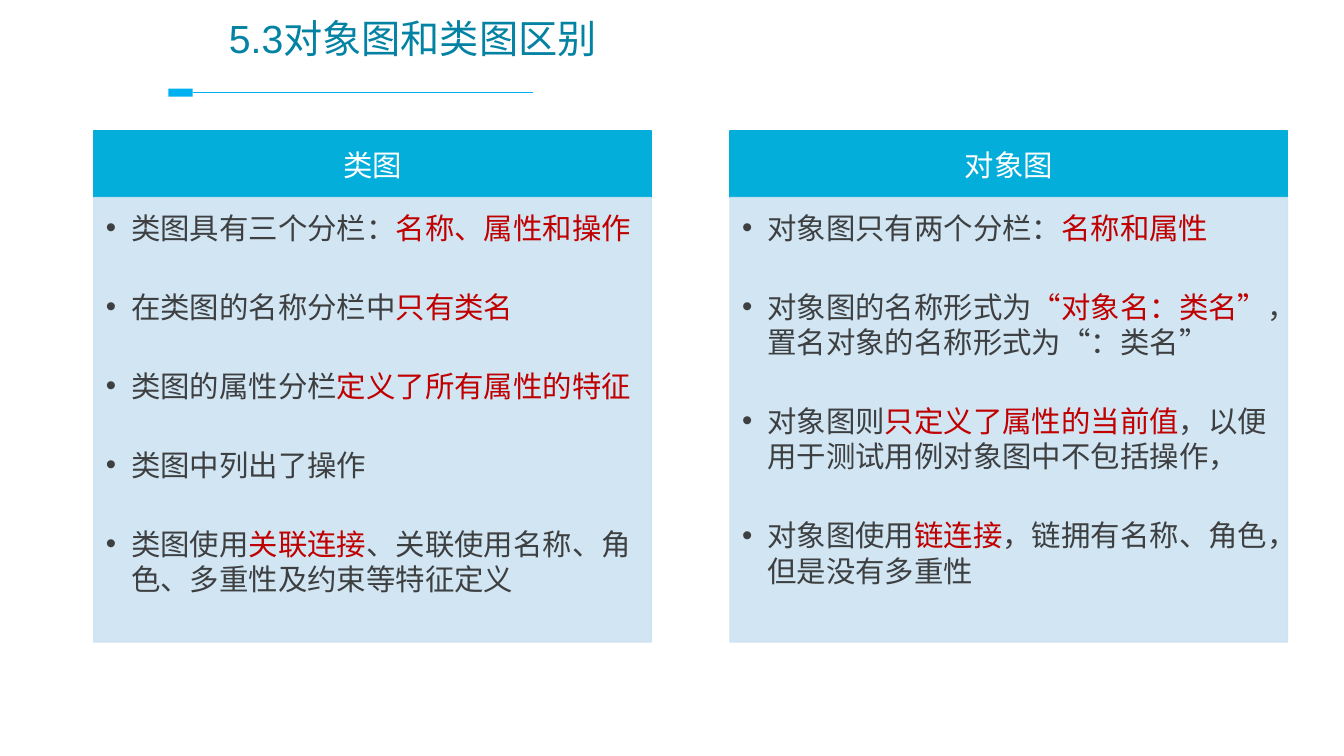
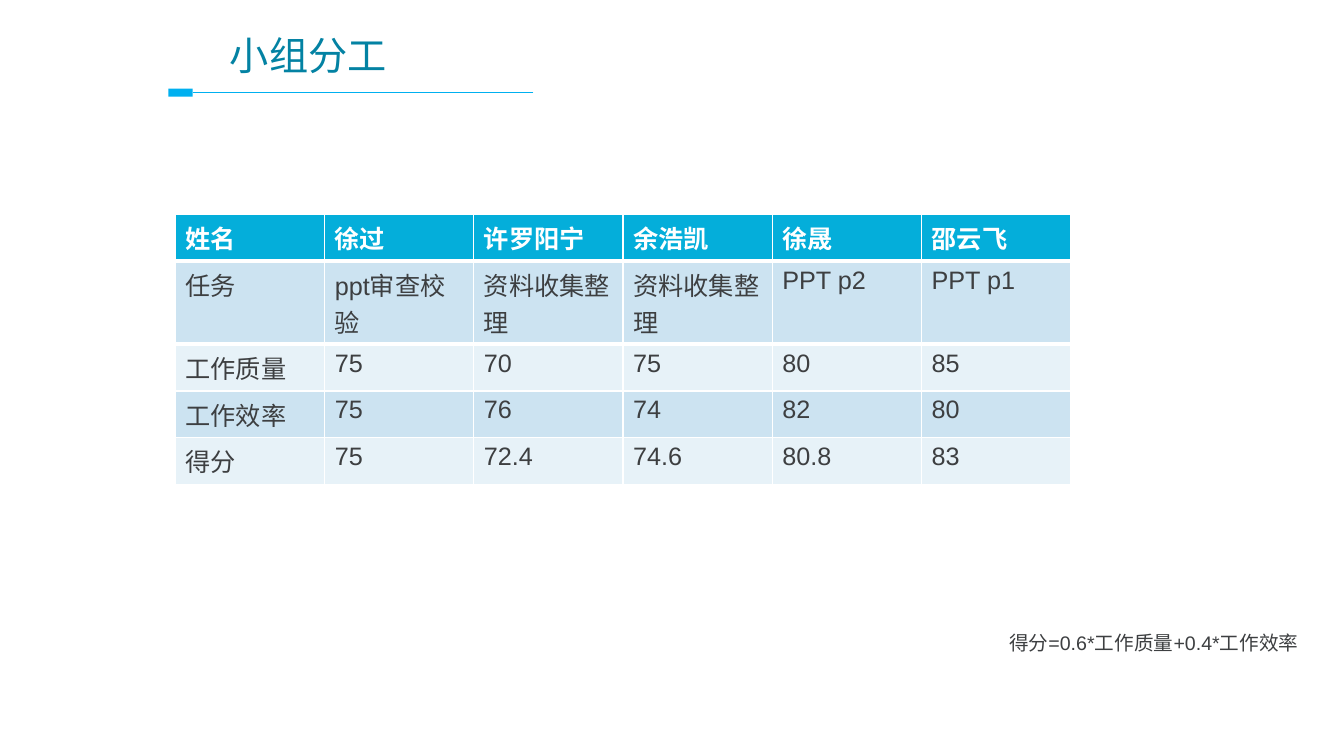
from pptx import Presentation
from pptx.dml.color import RGBColor
from pptx.enum.shapes import MSO_CONNECTOR, MSO_SHAPE
from pptx.enum.text import MSO_ANCHOR, MSO_AUTO_SIZE, PP_ALIGN
from pptx.oxml import parse_xml
from pptx.oxml.ns import nsdecls, qn
from pptx.oxml.xmlchemy import OxmlElement
from pptx.util import Inches, Pt

RECT = MSO_SHAPE.RECTANGLE
STRAIGHT = MSO_CONNECTOR.STRAIGHT
TOP, MIDDLE = MSO_ANCHOR.TOP, MSO_ANCHOR.MIDDLE
LEFT, CENTER = PP_ALIGN.LEFT, PP_ALIGN.CENTER
FIXED = MSO_AUTO_SIZE.NONE

SKY, CYAN, TEAL = "00B0F0", "04AEDA", "0382A3"
PALE, LIGHT = "CCE3F1", "E7F2F8"
DARK, RED, WHITE = "3D3F41", "C00000", "FFFFFF"


def color(code):
    return RGBColor.from_string(code)


def style(run, size, code, bold=False):
    run.font.name = "Arial"
    run.font.size = Pt(size)
    run.font.bold = bold
    run.font.color.rgb = color(code)


deck = Presentation()
deck.slide_width, deck.slide_height = Inches(13.33), Inches(7.5)
compare = deck.slides.add_slide(deck.slide_layouts[4])
team = deck.slides.add_slide(deck.slide_layouts[5])

block = compare.shapes.add_shape(RECT, Inches(1.67), Inches(0.88), Inches(0.24), Inches(0.08))
block.shadow.inherit = False
block.fill.solid()
block.fill.fore_color.rgb = color(SKY)
block.line.fill.background()
rule = compare.shapes.add_connector(STRAIGHT, Inches(5.29), Inches(0.92), Inches(1.91), Inches(0.92))
rule.end_connect(block, 3)
rule.line.color.rgb = color(SKY)
rule.line.width = Pt(0.75)
rule.element.spPr.append(OxmlElement("a:effectLst"))
for mark in (rule, block):
    deck.slide_master.shapes.element.append(mark.element)

for slide, text, left, top in (
    (compare, "5.3对象图和类图区别", 2.17, 0),
    (team, "小组分工", 2.18, 0.17),
):
    title = slide.shapes.title
    title.left, title.top = Inches(left), Inches(top)
    title.width, title.height = Inches(9), Inches(0.75)
    frame = title.text_frame
    frame.text = text
    frame.auto_size = FIXED
    frame.vertical_anchor = MIDDLE
    frame.paragraphs[0].alignment = LEFT
    style(frame.paragraphs[0].runs[0], 28, TEAL)

cards = (
    ("类图", 0.93, (
        "类图具有三个分栏：|名称、属性和操作",
        "在类图的名称分栏中|只有类名",
        "类图的属性分栏|定义了所有属性的特征",
        "类图中列出了操作",
        "类图使用|关联连接|、关联使用名称、角色、多重性及约束等特征定义",
    )),
    ("对象图", 7.24, (
        "对象图只有两个分栏：|名称和属性",
        "对象图的名称形式为|“对象名：类名”|，置名对象的名称形式为“：类名”",
        "对象图则|只定义了属性的当前值|，以便用于测试用例对象图中不包括操作，",
        "对象图使用|链连接|，链拥有名称、角色，但是没有多重性",
    )),
)
for index, (name, left, points) in enumerate(cards):
    head = compare.placeholders[1 + 2 * index]
    body = compare.placeholders[2 + 2 * index]
    for part, top, height, code, anchor, pads in (
        (head, 1.3, 0.66, CYAN, MIDDLE, (0.16, 0.09, 0.16, 0.09)),
        (body, 1.96, 4.41, PALE, TOP, (0.12, 0.12, 0.16, 0.18)),
    ):
        part.left, part.top = Inches(left), Inches(top)
        part.width, part.height = Inches(5.53), Inches(height)
        part.fill.solid()
        part.fill.fore_color.rgb = color(code)
        part.line.color.rgb = color(code)
        part.line.width = Pt(1)
        frame = part.text_frame
        frame.auto_size = FIXED
        frame.vertical_anchor = anchor
        frame.margin_left, frame.margin_top, frame.margin_right, frame.margin_bottom = map(Inches, pads)

    for tint in body.element.iter(qn("a:srgbClr")):
        alpha = OxmlElement("a:alpha")
        alpha.set("val", "90000")
        tint.append(alpha)

    head.text_frame.text = name
    para = head.text_frame.paragraphs[0]
    para.alignment = CENTER
    para.space_before = Pt(0)
    style(para.runs[0], 21, WHITE)

    body.text_frame.text = "\n".join(points)
    for para, point in zip(body.text_frame.paragraphs, points):
        para.text = ""
        para.line_spacing = 1.0
        para.space_before = Pt(0)
        para.space_after = Pt(31.3)
        props = para._p.get_or_add_pPr()
        props.set("marL", str(Inches(0.25)))
        props.set("indent", str(Inches(-0.25)))
        for turn, piece in enumerate(point.split("|")):
            run = para.add_run()
            run.text = piece
            style(run, 21, RED if turn % 2 else DARK)

rows = (
    ("姓名", "徐过", "许罗阳宁", "余浩凯", "徐晟", "邵云飞"),
    ("任务", "ppt审查校验", "资料收集整理", "资料收集整理", "PPT p2", "PPT p1"),
    ("工作质量", "75", "70", "75", "80", "85"),
    ("工作效率", "75", "76", "74", "82", "80"),
    ("得分", "75", "72.4", "74.6", "80.8", "83"),
)
grid = team.shapes.add_table(
    len(rows), len(rows[0]), Inches(1.74), Inches(2.13), Inches(8.88), Inches(2.03)
).table
for y, row in enumerate(rows):
    fill = PALE if y % 2 else LIGHT
    for x, text in enumerate(row):
        cell = grid.cell(y, x)
        cell.text = text
        cell.fill.solid()
        cell.fill.fore_color.rgb = color(fill if y else CYAN)
        style(cell.text_frame.paragraphs[0].runs[0], 18, DARK if y else WHITE, y == 0)
        if y < 2:
            side = "lnT" if y else "lnB"
            edge = parse_xml(
                f'<a:{side} {nsdecls("a")} w="{Pt(3)}"><a:solidFill>'
                f'<a:srgbClr val="{WHITE}"/></a:solidFill></a:{side}>'
            )
            cell._tc.get_or_add_tcPr().insert(0, edge)

note = team.shapes.add_textbox(Inches(9.91), Inches(6.21), Inches(3.3), Inches(0.34))
note.text_frame.word_wrap = True
note.text_frame.text = "得分=0.6*工作质量+0.4*工作效率"
style(note.text_frame.paragraphs[0].runs[0], 14, DARK)

deck.save("out.pptx")
